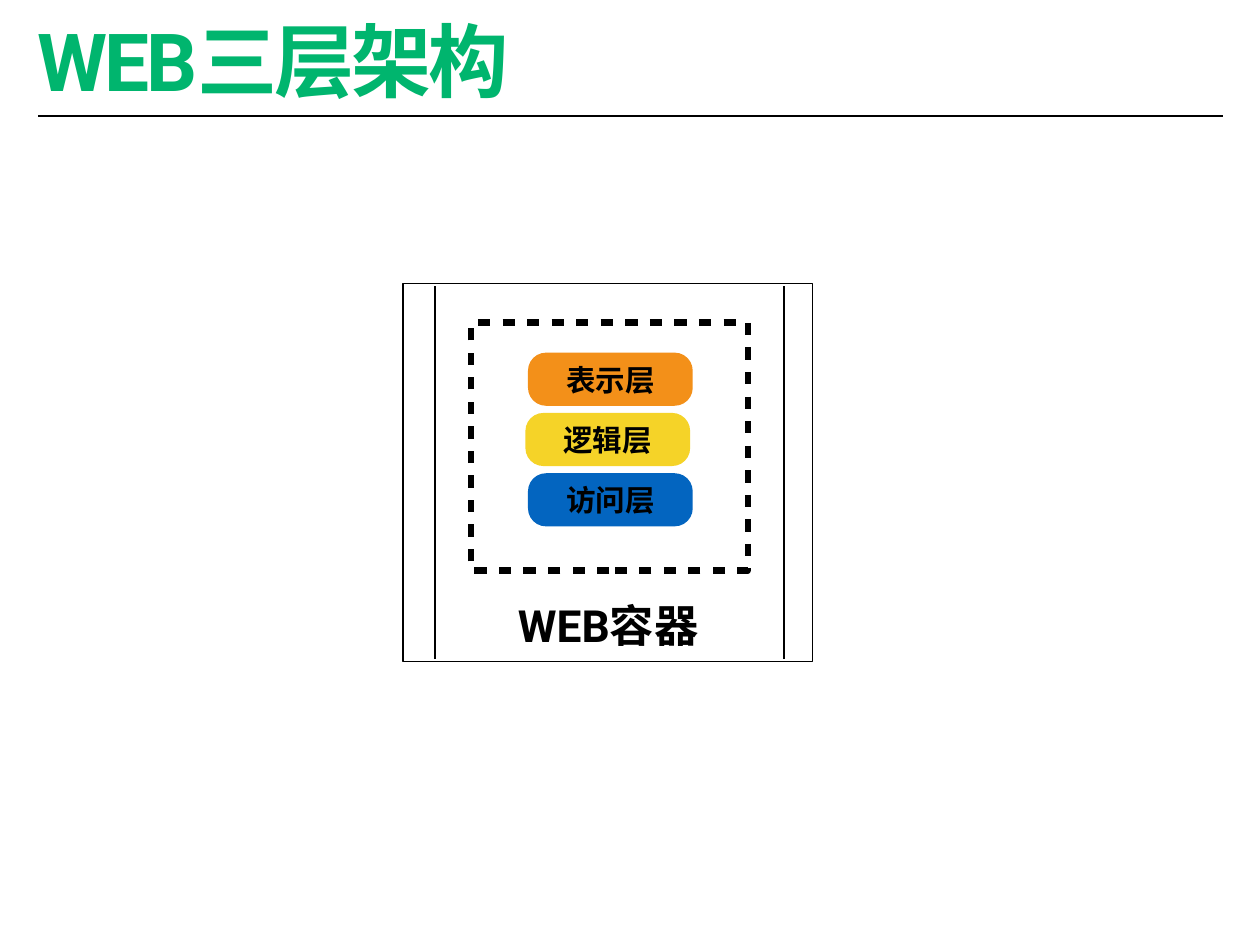
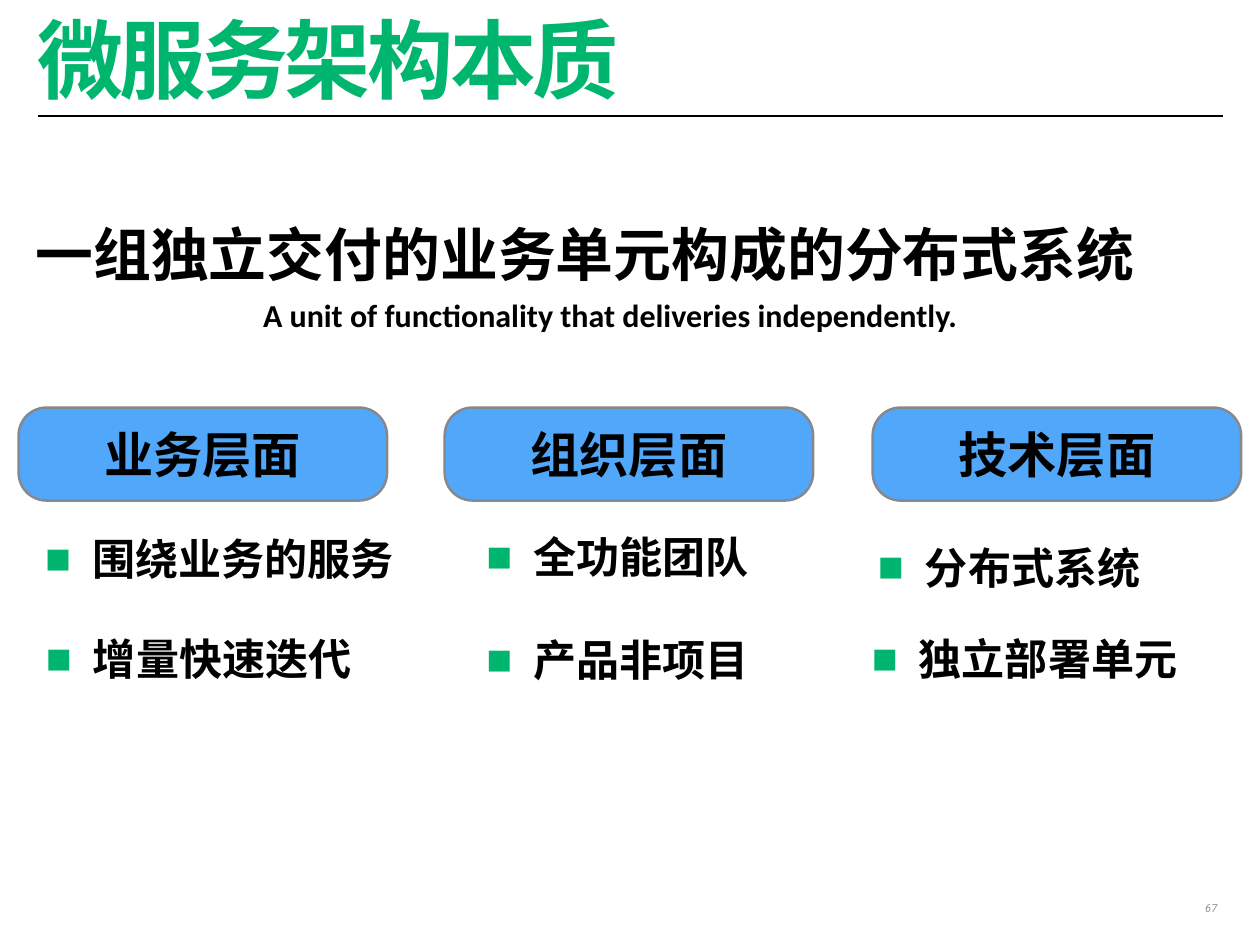
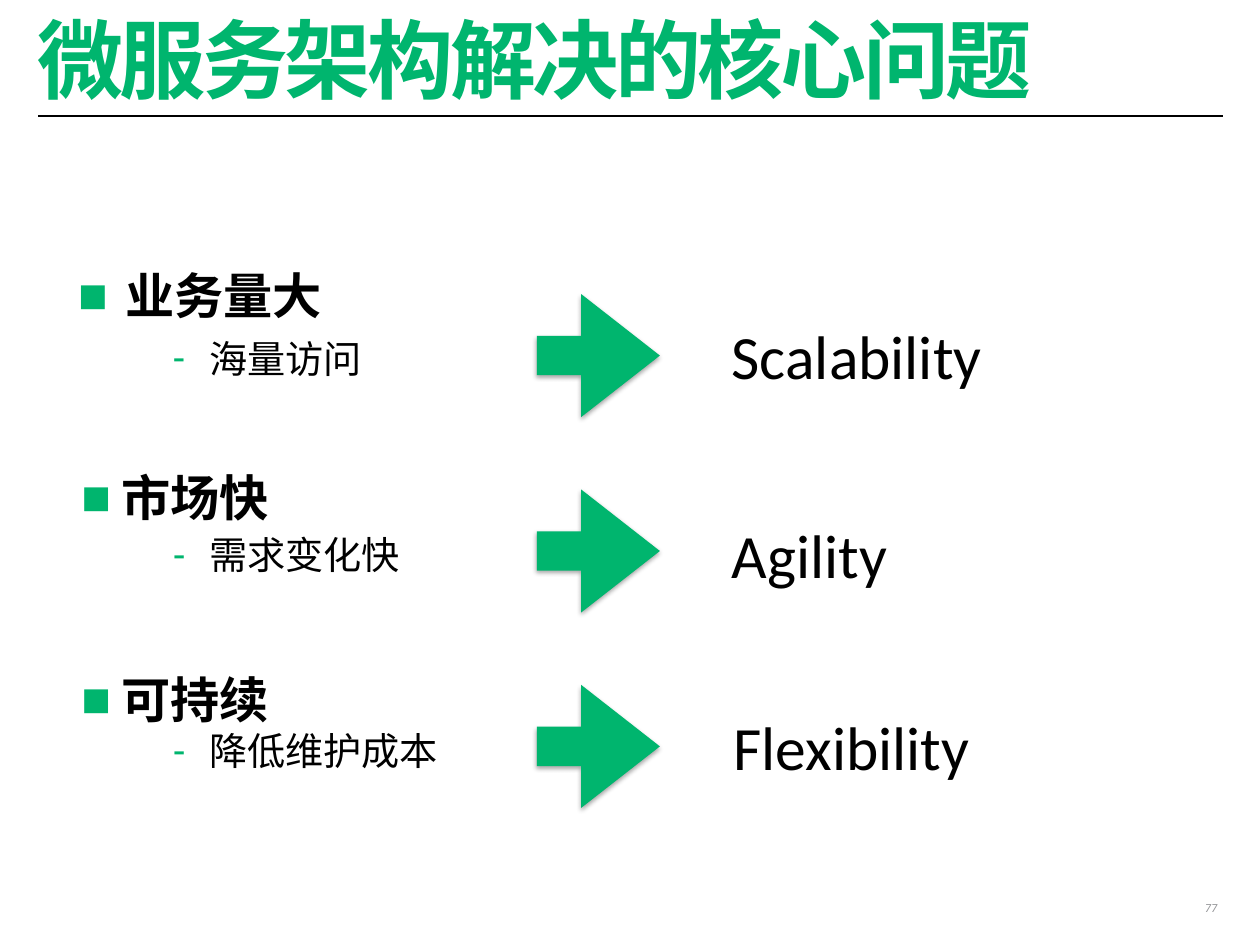
import pptx
import pptx.dml.color
import pptx.enum.shapes
import pptx.enum.text
import pptx.oxml
import pptx.oxml.ns
import pptx.util

Pt = pptx.util.Pt
colour = pptx.dml.color.RGBColor.from_string
qn = pptx.oxml.ns.qn
SHAPE = pptx.enum.shapes.MSO_SHAPE
ALIGN = pptx.enum.text.PP_ALIGN
MIDDLE = pptx.enum.text.MSO_ANCHOR.MIDDLE
AUTO_SIZE = pptx.enum.text.MSO_AUTO_SIZE
DRAWING = pptx.oxml.ns.nsdecls("a")

GREEN = "00B56E"
BLACK = "000000"
GREY = "929396"


def add_box(page, frame, kind=None, fill=None, line=None, width=1):
    """Add a preset shape, or a text box that fits its text when kind is None."""
    place = [Pt(length) for length in frame]
    if kind is None:
        box = page.shapes.add_textbox(*place)
        box.text_frame.word_wrap = False
        box.text_frame.auto_size = AUTO_SIZE.SHAPE_TO_FIT_TEXT
        return box
    box = page.shapes.add_shape(kind, *place)
    box.shadow.inherit = False
    if fill:
        box.fill.solid()
        box.fill.fore_color.rgb = colour(fill)
    else:
        box.fill.background()
    if line:
        box.line.color.rgb = colour(line)
        box.line.width = Pt(width)
    else:
        box.line.fill.background()
    return box


def write(box, text, size, font="Roboto", bold=True, ink=BLACK,
          align=ALIGN.LEFT, inset=4.3, bullet=None, indent=0):
    """Put one formatted paragraph into a box and return it."""
    frame = box.text_frame
    frame.margin_left = frame.margin_right = Pt(inset)
    frame.margin_top = frame.margin_bottom = Pt(inset)
    frame.text = text
    para = frame.paragraphs[0]
    para.alignment = align
    if bullet:
        props = para._p.get_or_add_pPr()
        props.set("marL", str(Pt(indent)))
        props.set("indent", str(-Pt(indent)))
        for xml in (f'<a:buClr {DRAWING}><a:srgbClr val="{GREEN}"/></a:buClr>',
                    f'<a:buFont {DRAWING} typeface="Arial"/>',
                    f'<a:buChar {DRAWING} char="{bullet}"/>'):
            props.append(pptx.oxml.parse_xml(xml))
    span = para.runs[0]
    span.font.name = font
    span.font.size = Pt(size)
    span.font.bold = bold
    span.font.color.rgb = colour(ink)
    return para


deck = pptx.Presentation()
deck.slide_width, deck.slide_height = Pt(1024), Pt(768)

# Shared title area
layout = deck.slide_layouts[5]
heading = layout.placeholders[0]
heading.left, heading.top = Pt(30.2), Pt(18.7)
heading.width, heading.height = Pt(964), Pt(77.8)
heading.text_frame.vertical_anchor = MIDDLE
heading.text_frame.auto_size = AUTO_SIZE.NONE

pages = []
for title, size, spacing, number in [
    ("WEB三层架构", 65.1, -260, None),
    ("微服务架构本质", 70, -280, "67"),
    ("微服务架构解决的核心问题", 70, -280, "77"),
]:
    page = deck.slides.add_slide(layout)
    para = write(page.shapes.title, title, size, ink=GREEN, inset=0)
    para.line_spacing = 0.7
    para.runs[0]._r.get_or_add_rPr().set("spc", str(spacing))
    if number:
        box = add_box(page, (972.7, 728.6, 20.9, 23))
        para = write(box, number, 9, bold=False, ink=GREY, align=ALIGN.RIGHT)
        para.runs[0].font.italic = True
    pages.append(page)
layers_page, essence_page, problems_page = pages

# Three layers inside a web container
add_box(layers_page, (327.6, 230.4, 332.6, 307.4), SHAPE.RECTANGLE, "FFFFFF", BLACK)
lines = []
for x1, y1, x2, y2, width in [
    (31, 94.3, 994.3, 94.3, 1),
    (353.5, 535.7, 353.5, 232.6, 2),
    (637.2, 535.7, 637.2, 232.6, 2),
]:
    line = layers_page.shapes.add_connector(
        pptx.enum.shapes.MSO_CONNECTOR.STRAIGHT, Pt(x1), Pt(y1), Pt(x2), Pt(y2))
    line.line.color.rgb = colour(BLACK)
    line.line.width = Pt(width)
    line.element.spPr.append(pptx.oxml.parse_xml(f"<a:effectLst {DRAWING}/>"))
    lines.append(line)

# The first line is the title rule, which belongs to the layout
title_rule = lines[0].element
title_rule.nvCxnSpPr.cNvPr.id = 20
layout.shapes.element.append(title_rule)

boundary = add_box(layers_page, (383, 262.1, 224.6, 201.6), SHAPE.RECTANGLE,
                   line=BLACK, width=5)
boundary.element.spPr.find(qn("a:ln")).append(pptx.oxml.parse_xml(
    f'<a:custDash {DRAWING}><a:ds d="200000" sp="200000"/></a:custDash>'))

for row, (name, left, fill) in enumerate([
    ("表示层", 429.1, "F39019"),
    ("逻辑层", 427, "F5D328"),
    ("访问层", 429.1, "0365C0"),
]):
    box = add_box(layers_page, (left, 286.6 + 49 * row, 133.9, 43.2),
                  SHAPE.ROUNDED_RECTANGLE, fill)
    box.adjustments[0] = 0.34
    box.text_frame.vertical_anchor = MIDDLE
    write(box, name, 24, align=ALIGN.CENTER)

box = add_box(layers_page, (411.8, 482.4, 164.9, 51.1))
box.text_frame.vertical_anchor = MIDDLE
write(box, "WEB容器", 36, align=ALIGN.CENTER)

# Essence of microservices
write(add_box(essence_page, (25.2, 174.2, 963.4, 54)),
      "一组独立交付的业务单元构成的分布式系统", 47, inset=3.6)
write(add_box(essence_page, (208.8, 235.4, 576, 42.5)),
      "A unit of functionality that deliveries independently.", 26, "Calibri", inset=5)

for name, left, points in [
    ("业务层面", 15.1, [("围绕业务的服务", 33.1, 429.1, 292.3),
                    ("增量快速迭代", 33.8, 510.5, 257)]),
    ("组织层面", 361.4, [("全功能团队", 391.7, 427.7, 222.5),
                     ("产品非项目", 391.7, 511.2, 222.5)]),
    ("技术层面", 709.2, [("分布式系统", 709.9, 436.3, 222.5),
                     ("独立部署单元", 704.9, 510.5, 257)]),
]:
    box = add_box(essence_page, (left, 331.2, 299.5, 75.6),
                  SHAPE.ROUNDED_RECTANGLE, "51A7F9", "85888D", 2)
    box.adjustments[0] = 0.3
    box.text_frame.vertical_anchor = MIDDLE
    write(box, name, 40, align=ALIGN.CENTER)
    for point, point_left, top, width in points:
        write(add_box(essence_page, (point_left, top, width, 42.5)), point, 35,
              "Calibri", inset=3.6, bullet="■", indent=38.2)

# Problems and the qualities that answer them
for row, (topic, topic_left, topic_width, indent, font, detail, detail_width,
          quality, quality_left, quality_top, quality_width) in enumerate([
    ("业务量大", 59.8, 207.4, 38.2, "Calibri", "海量访问", 162.7,
     "Scalability", 589.7, 253.4, 244.1),
    ("市场快", 62.6, 161.3, 32.4, "Roboto", "需求变化快", 193.7,
     "Agility", 589.7, 415.4, 167),
    ("可持续", 62.6, 161.3, 32.4, "Roboto", "降低维护成本", 224.6,
     "Flexibility", 591.1, 571, 232.6),
]):
    write(add_box(problems_page, (topic_left, 212.4 + 164.2 * row, topic_width, 47.5)),
          topic, 40, font, inset=3.6, bullet="■", indent=indent)
    write(add_box(problems_page, (136.8, 268.6 + 159.5 * row, detail_width, 38.9)),
          detail, 31, "Calibri", bold=False, inset=3.6, bullet="-", indent=29.5)
    write(add_box(problems_page, (quality_left, quality_top, quality_width, 71.3)),
          quality, 50, "Calibri", bold=False, inset=5)
    arrow = add_box(problems_page, (436.3, 239 + 158.8 * row, 100, 100),
                    SHAPE.RIGHT_ARROW, GREEN)
    arrow.adjustments[0], arrow.adjustments[1] = 0.32, 0.64
    arrow.element.spPr.find(qn("a:effectLst")).append(pptx.oxml.parse_xml(
        f'<a:outerShdw {DRAWING} blurRad="{Pt(4)}" dist="{Pt(2)}" dir="5400000" '
        f'rotWithShape="0"><a:srgbClr val="{BLACK}"><a:alpha val="35000"/>'
        '</a:srgbClr></a:outerShdw>'))

deck.save("out.pptx")
